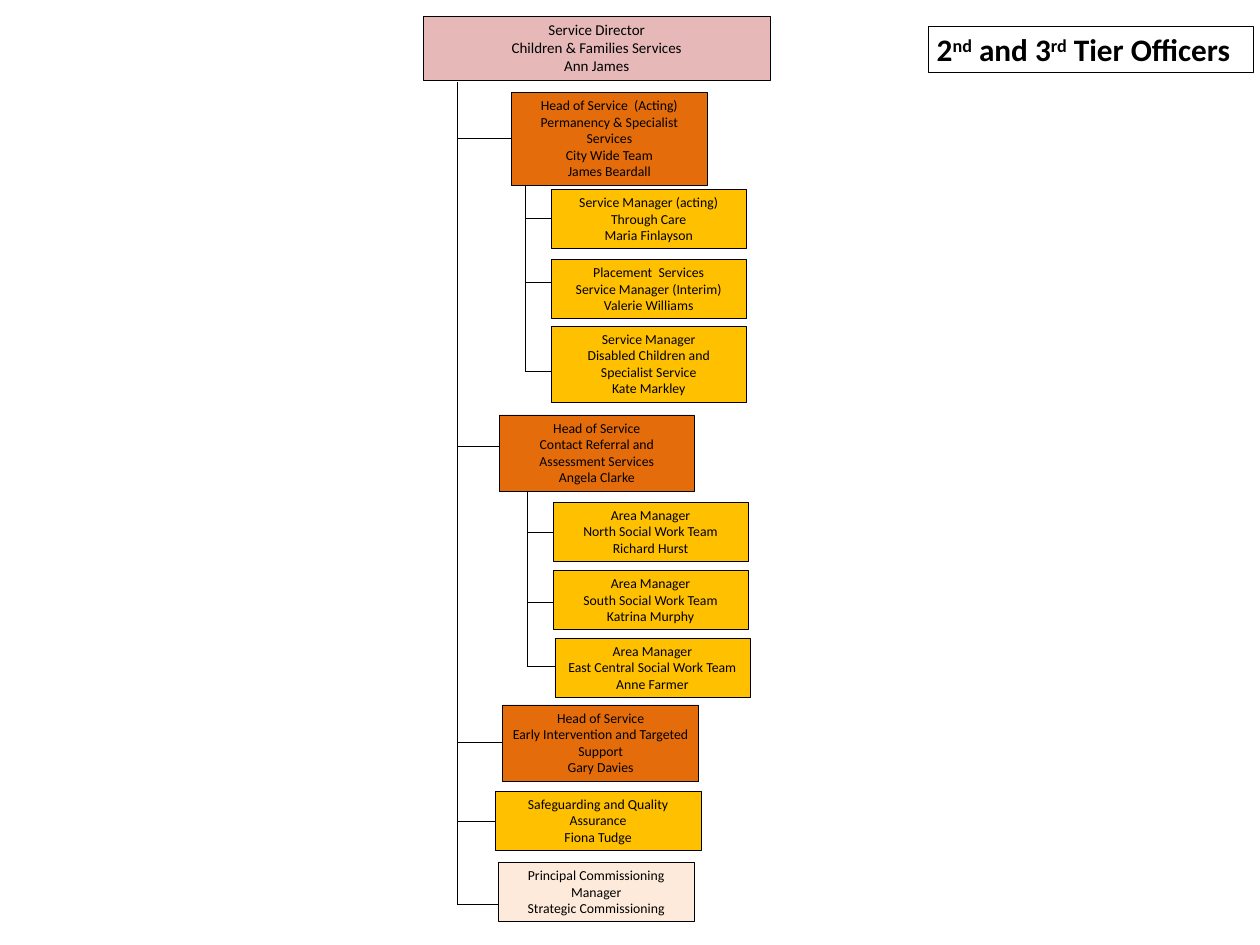
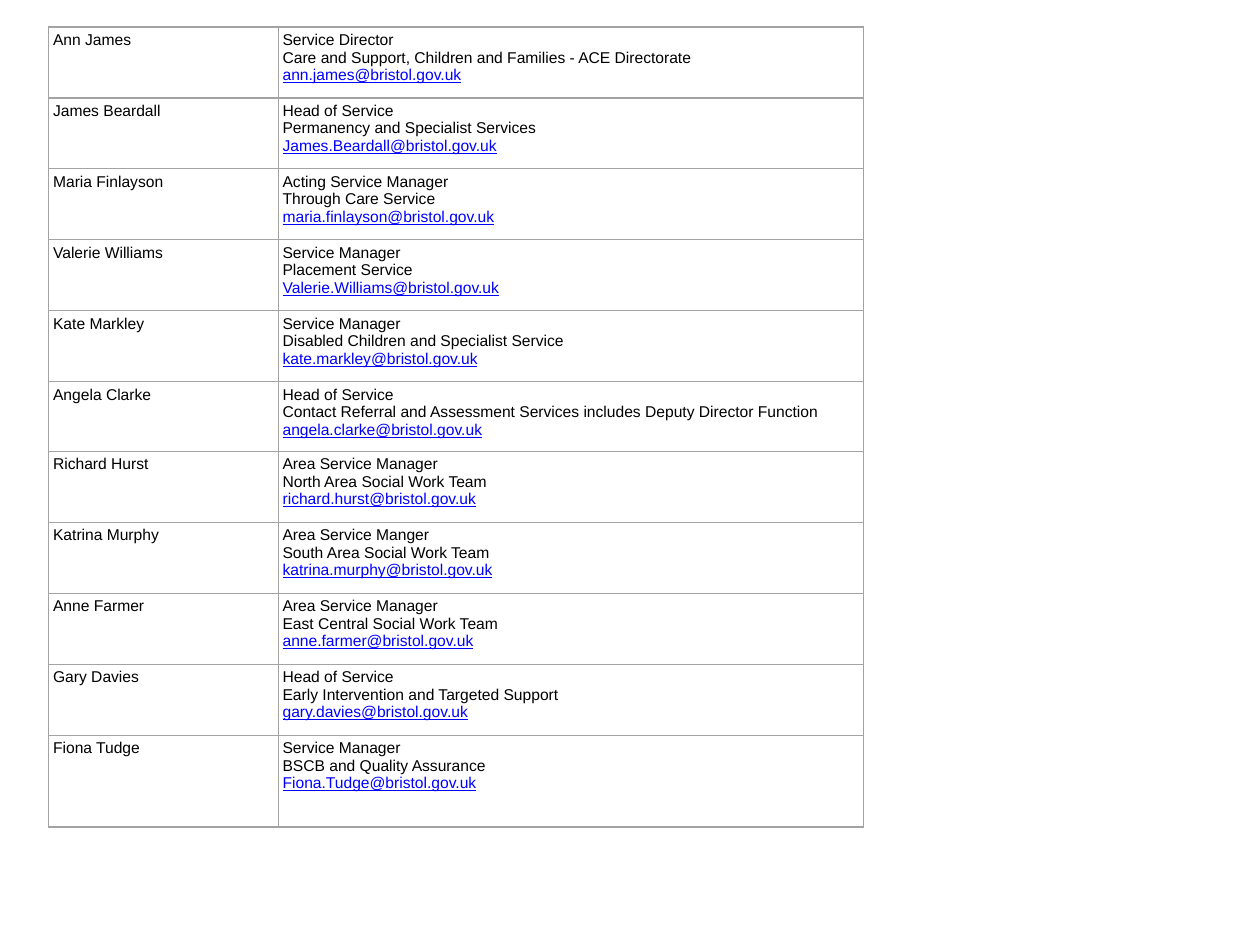
from dataclasses import dataclass

from lxml.etree import SubElement
from pptx import Presentation
from pptx.dml.color import RGBColor as Color
from pptx.enum.shapes import MSO_CONNECTOR as Connector, MSO_SHAPE as Shape
from pptx.enum.text import MSO_ANCHOR as Anchor, PP_ALIGN as Align
from pptx.oxml.ns import qn
from pptx.util import Pt


@dataclass(frozen=True)
class Theme:
    director: str = "E6B9B8"
    head: str = "E46C0A"
    manager: str = "FFC000"
    commissioning: str = "FDEADA"
    ink: str = "000000"
    link: str = "0000FF"
    grid: str = "A3A3A3"
    chart_font: str = "Calibri"
    table_font: str = "Arial"
    title_size: float = 25
    director_size: float = 12
    post_size: float = 11
    table_size: float = 12.5
    outline: float = 0.5
    border: float = 1


THEME = Theme()
LINE_HEIGHT = 1.22
INSET_X, INSET_Y = 7.2, 3.6

TITLE = [("2", False), ("nd", True), (" and 3", False), ("rd", True), (" Tier Officers", False)]
TITLE_PLACE = (742.3, 20.9, 260.6, 37.4)

DIRECTOR = ["Service Director", "Children & Families Services", "Ann James"]
DIRECTOR_PLACE = (338.4, 13, 278, 3)

# fields: fill, left, top, width, lines, branch y, wording
TOP_POSTS = [
    (THEME.head, 409, 74, 157, 5, 111,
     ["Head of Service  (Acting)", "Permanency & Specialist Services", "City Wide Team", "James Beardall"]),
    (THEME.head, 399.5, 332, 156, 4, 357,
     ["Head of Service", "Contact Referral and Assessment Services", "Angela Clarke"]),
    (THEME.head, 402, 564, 157, 4, 594,
     ["Head of Service", "Early Intervention and Targeted Support", "Gary Davies"]),
    (THEME.manager, 396, 633, 165, 3, 657,
     ["Safeguarding and Quality Assurance", "Fiona Tudge"]),
    (THEME.commissioning, 398.5, 690, 157, 3, 723.6,
     ["Principal Commissioning Manager", "Strategic Commissioning"]),
]
PERMANENCY_POSTS = [
    (THEME.manager, 441, 151.5, 156, 3, 174.5,
     ["Service Manager (acting)", "Through Care", "Maria Finlayson"]),
    (THEME.manager, 441, 207.5, 156, 3, 225.7,
     ["Placement  Services", "Service Manager (Interim) Valerie Williams"]),
    (THEME.manager, 441, 261, 156, 4, 296.8,
     ["Service Manager", "Disabled Children and Specialist Service", "Kate Markley"]),
]
REFERRAL_POSTS = [
    (THEME.manager, 442.5, 401.8, 156, 3, 425.5,
     ["Area Manager", "North Social Work Team", "Richard Hurst"]),
    (THEME.manager, 442.5, 456.4, 156, 3, 482,
     ["Area Manager", "South Social Work Team", "Katrina Murphy"]),
    (THEME.manager, 444, 510.6, 156, 3, 532.8,
     ["Area Manager", "East Central Social Work Team", "Anne Farmer"]),
]
BRANCHES = [(366, 66, TOP_POSTS), (420, 148, PERMANENCY_POSTS), (422, 392.5, REFERRAL_POSTS)]

OFFICERS = [
    ("Ann James", "Service Director",
     "Care and Support, Children and Families - ACE Directorate", "ann.james@bristol.gov.uk"),
    ("James Beardall", "Head of Service",
     "Permanency and Specialist Services", "James.Beardall@bristol.gov.uk"),
    ("Maria Finlayson", "Acting Service Manager",
     "Through Care Service", "maria.finlayson@bristol.gov.uk"),
    ("Valerie Williams", "Service Manager",
     "Placement Service", "Valerie.Williams@bristol.gov.uk"),
    ("Kate Markley", "Service Manager",
     "Disabled Children and Specialist Service", "kate.markley@bristol.gov.uk"),
    ("Angela Clarke", "Head of Service",
     "Contact Referral and Assessment Services includes Deputy Director Function",
     "angela.clarke@bristol.gov.uk"),
    ("Richard Hurst", "Area Service Manager",
     "North Area Social Work Team", "richard.hurst@bristol.gov.uk"),
    ("Katrina Murphy", "Area Service Manger",
     "South Area Social Work Team", "katrina.murphy@bristol.gov.uk"),
    ("Anne Farmer", "Area Service Manager",
     "East Central Social Work Team", "anne.farmer@bristol.gov.uk"),
    ("Gary Davies", "Head of Service",
     "Early Intervention and Targeted Support", "gary.davies@bristol.gov.uk"),
    ("Fiona Tudge", "Service Manager",
     "BSCB and Quality Assurance", "Fiona.Tudge@bristol.gov.uk"),
]
TABLE_LEFT, TABLE_TOP = 38.9, 21.6
COLUMN_WIDTHS = [183.6, 468.7]
ROW_HEIGHT = 56.8
SPECIAL_ROWS = {"Angela Clarke": 55.6, "Fiona Tudge": 73.4}


def style_font(font, name, size, color=THEME.ink, bold=False):
    font.name = name
    font.size = Pt(size)
    font.bold = bold
    font.color.rgb = Color.from_string(color)


def style_line(line):
    line.color.rgb = Color.from_string(THEME.ink)
    line.width = Pt(THEME.outline)


def write_lines(frame, lines):
    frame.text = "\n".join(lines)
    return frame.paragraphs


def add_box(page, left, top, width, height, fill=None):
    box = page.shapes.add_shape(Shape.RECTANGLE, Pt(left), Pt(top), Pt(width), Pt(height))
    box.shadow.inherit = False
    if fill:
        box.fill.solid()
        box.fill.fore_color.rgb = Color.from_string(fill)
    else:
        box.fill.background()
    style_line(box.line)
    frame = box.text_frame
    frame.word_wrap = True
    frame.vertical_anchor = Anchor.TOP
    frame.margin_left = frame.margin_right = Pt(INSET_X)
    frame.margin_top = frame.margin_bottom = Pt(INSET_Y)
    return frame


def add_post(page, fill, left, top, width, rows, lines, size=THEME.post_size):
    height = 2 * INSET_Y + rows * size * LINE_HEIGHT
    frame = add_box(page, left, top, width, height, fill)
    for para in write_lines(frame, lines):
        para.alignment = Align.CENTER
        style_font(para.font, THEME.chart_font, size)


def add_line(page, x1, y1, x2, y2):
    line = page.shapes.add_connector(Connector.STRAIGHT, Pt(x1), Pt(y1), Pt(x2), Pt(y2))
    style_line(line.line)
    SubElement(line._element.spPr, qn("a:effectLst"))


def add_branch(page, spine, start, posts):
    for fill, left, top, width, rows, branch, lines in posts:
        add_post(page, fill, left, top, width, rows, lines)
        add_line(page, spine, branch, left, branch)
    add_line(page, spine, start, spine, branch)


def add_title(page):
    para = add_box(page, *TITLE_PLACE).paragraphs[0]
    para.alignment = Align.LEFT
    style_font(para.font, THEME.chart_font, THEME.title_size, bold=True)
    for text, raised in TITLE:
        span = para.add_run()
        span.text = text
        if raised:
            span._r.get_or_add_rPr().set("baseline", "30000")


def add_borders(cell):
    properties = cell._tc.get_or_add_tcPr()
    for position, side in enumerate(("a:lnL", "a:lnR", "a:lnT", "a:lnB")):
        border = SubElement(properties, qn(side), w=str(Pt(THEME.border)))
        fill = SubElement(border, qn("a:solidFill"))
        SubElement(fill, qn("a:srgbClr"), val=THEME.grid)
        properties.insert(position, border)


def fill_cell(cell, lines):
    cell.margin_left = cell.margin_right = Pt(INSET_Y)
    cell.margin_top = cell.margin_bottom = Pt(INSET_Y)
    cell.fill.background()
    add_borders(cell)
    for para in write_lines(cell.text_frame, lines):
        is_address = "@" in para.text
        color = THEME.link if is_address else THEME.ink
        style_font(para.font, THEME.table_font, THEME.table_size, color)
        para.font.underline = is_address


def build_structure(page):
    left, top, width, rows = DIRECTOR_PLACE
    add_post(page, THEME.director, left, top, width, rows, DIRECTOR, THEME.director_size)
    for spine, start, posts in BRANCHES:
        add_branch(page, spine, start, posts)
    add_title(page)


def build_contacts(page):
    heights = [SPECIAL_ROWS.get(officer[0], ROW_HEIGHT) for officer in OFFICERS]
    table = page.shapes.add_table(
        len(OFFICERS), len(COLUMN_WIDTHS), Pt(TABLE_LEFT), Pt(TABLE_TOP),
        Pt(sum(COLUMN_WIDTHS)), Pt(sum(heights))).table
    table.first_row = table.horz_banding = False
    for column, width in zip(table.columns, COLUMN_WIDTHS):
        column.width = Pt(width)
    for row, height, (name, *details) in zip(table.rows, heights, OFFICERS):
        row.height = Pt(height)
        fill_cell(row.cells[0], [name])
        fill_cell(row.cells[1], details)


def main():
    deck = Presentation()
    deck.slide_width, deck.slide_height = Pt(1008), Pt(756)
    for build in (build_structure, build_contacts):
        build(deck.slides.add_slide(deck.slide_layouts[6]))
    deck.save("out.pptx")


if __name__ == "__main__":
    main()
